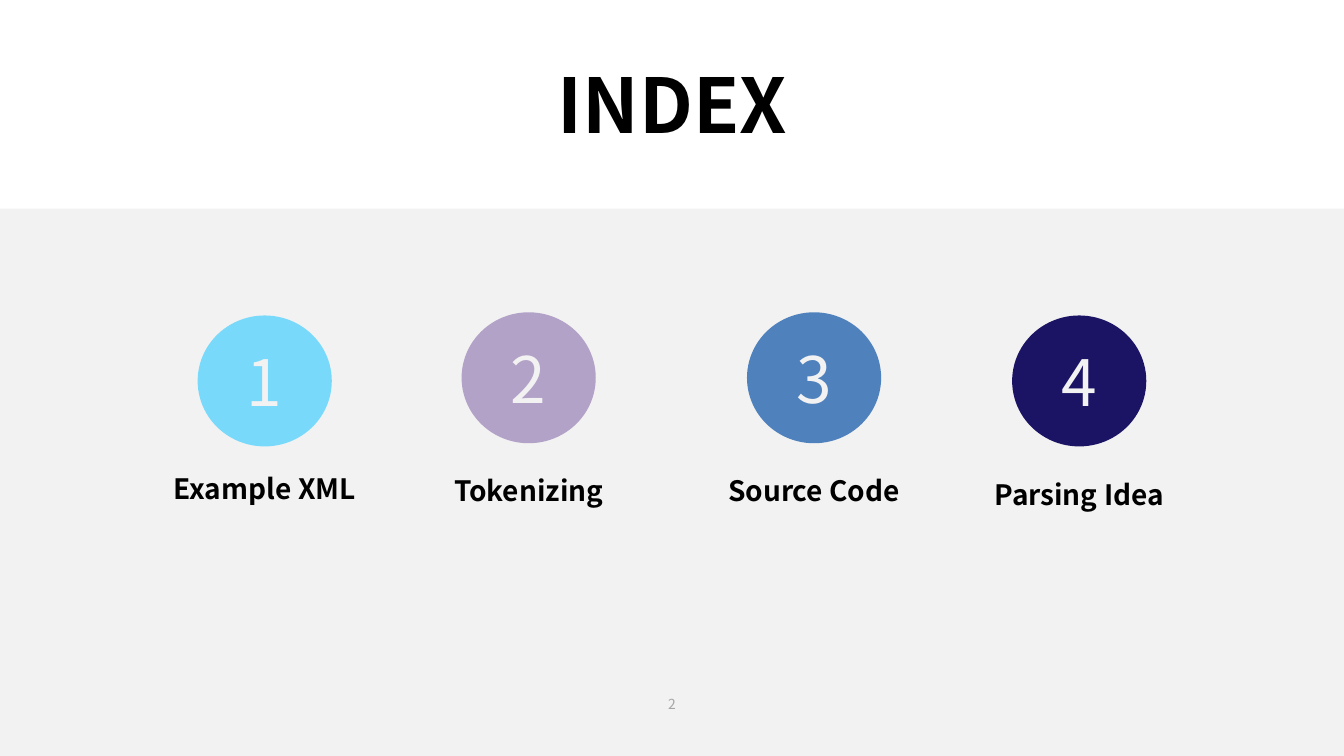
from pptx import Presentation
from pptx.dml.color import RGBColor
from pptx.enum.shapes import MSO_SHAPE
from pptx.enum.text import MSO_ANCHOR, PP_ALIGN
from pptx.util import Cm, Pt

RECTANGLE, OVAL = MSO_SHAPE.RECTANGLE, MSO_SHAPE.OVAL
TOP, MIDDLE = MSO_ANCHOR.TOP, MSO_ANCHOR.MIDDLE
CENTER = PP_ALIGN.CENTER

SLIDE_WIDTH, SLIDE_HEIGHT = 33.86, 19.05
PANEL_TOP = 5.26
CIRCLE_WIDTH, CIRCLE_HEIGHT = 3.38, 3.3
FONT = "Noto Sans CJK KR"
COLORS = {
    "panel": "F2F2F2",
    "text": "000000",
    "page number": "A6A6A6",
    "sky": "79D9FB",
    "lilac": "B3A2C7",
    "blue": "4F81BD",
    "navy": "1B1464",
}
# label, circle color, center, circle top, label top, label width (cm)
TOPICS = [
    ("Example XML", "sky", 6.67, 7.95, 11.89, 5.26),
    ("Tokenizing", "lilac", 13.32, 7.87, 11.94, 5.26),
    ("Source Code", "blue", 20.51, 7.87, 11.94, 6.4),
    ("Parsing Idea", "navy", 27.19, 7.95, 12.04, 6.4),
]


def write_text(shape, text, *, size, color, bold=False, anchor=TOP, margins=(0, 0)):
    """Fill a shape with one centered paragraph; margins are (side, top) in cm."""
    frame = shape.text_frame
    frame.word_wrap = True
    frame.vertical_anchor = anchor
    frame.margin_left = frame.margin_right = Cm(margins[0])
    frame.margin_top = frame.margin_bottom = Cm(margins[1])
    paragraph = frame.paragraphs[0]
    paragraph.alignment = CENTER
    run = paragraph.add_run()
    run.text = text
    run.font.name = FONT
    run.font.size = Pt(size)
    run.font.bold = bold
    run.font.color.rgb = RGBColor.from_string(COLORS[color])


class SlideBuilder:
    def __init__(self, slide):
        self.slide = slide

    def add_filled_shape(self, kind, left, top, width, height, color):
        shape = self.slide.shapes.add_shape(
            kind, Cm(left), Cm(top), Cm(width), Cm(height))
        shape.shadow.inherit = False
        shape.fill.solid()
        shape.fill.fore_color.rgb = RGBColor.from_string(COLORS[color])
        shape.line.fill.background()
        return shape

    def add_text(self, text, center, top, width, height, **text_format):
        box = self.slide.shapes.add_textbox(
            Cm(center - width / 2), Cm(top), Cm(width), Cm(height))
        write_text(box, text, **text_format)

    def add_topic(self, number, label, color, center, circle_top, label_top, label_width):
        circle = self.add_filled_shape(
            OVAL, center - CIRCLE_WIDTH / 2, circle_top,
            CIRCLE_WIDTH, CIRCLE_HEIGHT, color)
        write_text(circle, str(number), size=45.7, color="panel",
                   anchor=MIDDLE, margins=(0.2, 0.1))
        self.add_text(label, center, label_top, label_width, 0.86,
                      size=20, color="text", bold=True)


def main():
    presentation = Presentation()
    presentation.slide_width = Cm(SLIDE_WIDTH)
    presentation.slide_height = Cm(SLIDE_HEIGHT)
    builder = SlideBuilder(
        presentation.slides.add_slide(presentation.slide_layouts[6]))

    builder.add_filled_shape(RECTANGLE, 0, PANEL_TOP, SLIDE_WIDTH,
                             SLIDE_HEIGHT - PANEL_TOP, "panel")
    builder.add_text("2", SLIDE_WIDTH / 2, 17.53, 2.2, 0.43,
                     size=9.9, color="page number", anchor=MIDDLE)
    builder.add_text("INDEX", 16.94, 1.47, 19.05, 2.31,
                     size=54, color="text", bold=True)
    for number, topic in enumerate(TOPICS, start=1):
        builder.add_topic(number, *topic)

    presentation.save("out.pptx")


if __name__ == "__main__":
    main()
